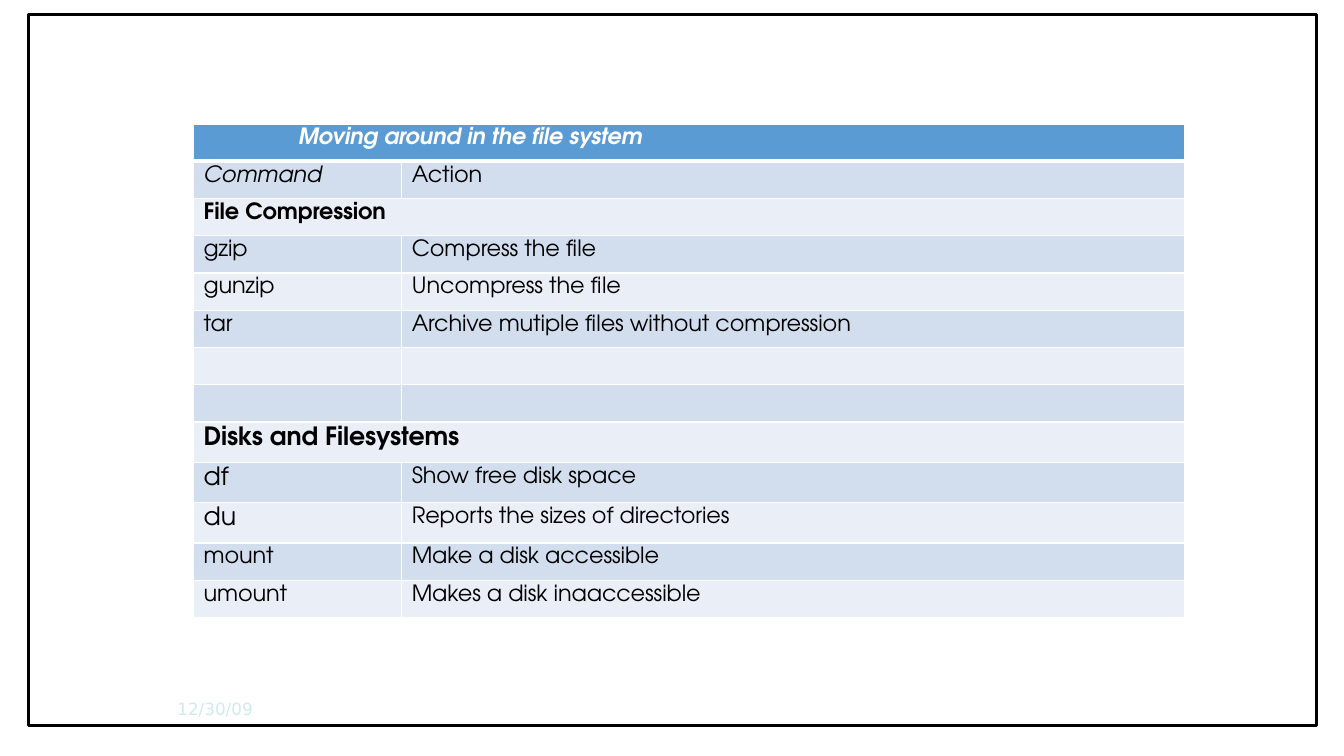
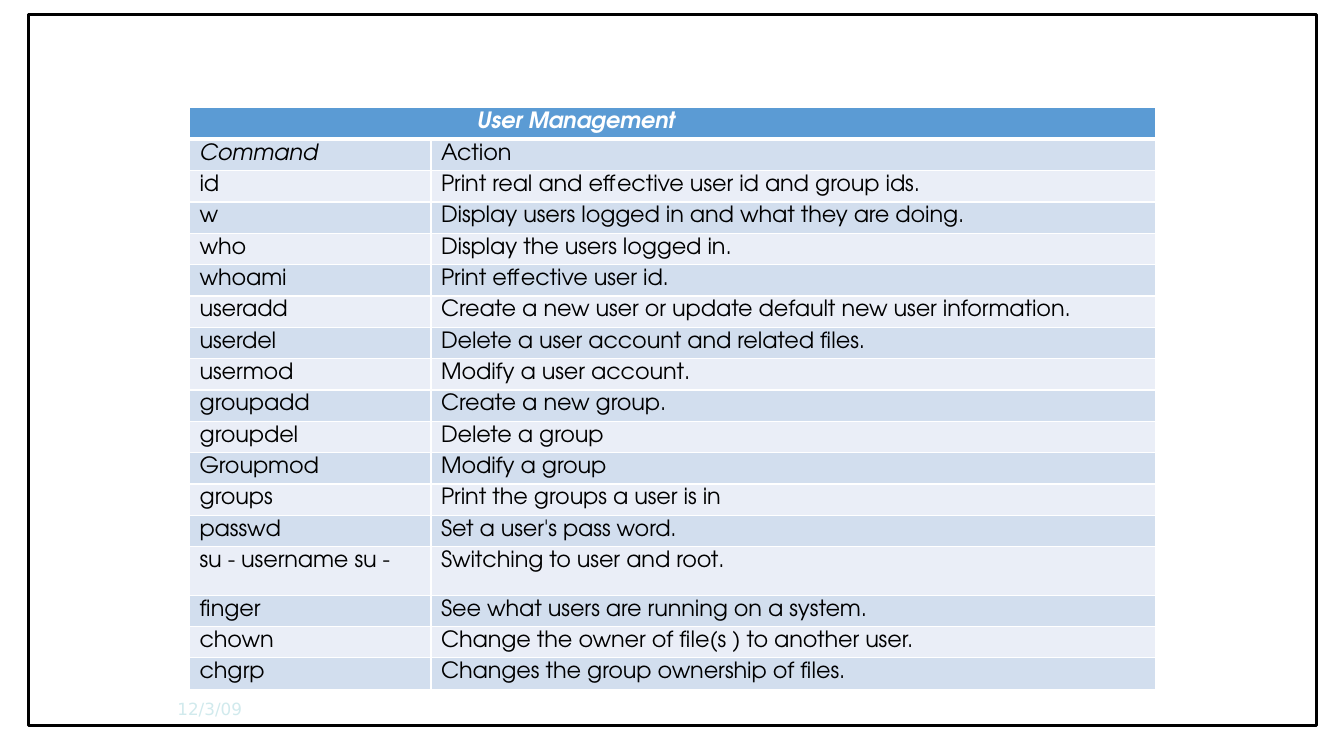
from dataclasses import dataclass

from lxml import etree
from pptx import Presentation
from pptx.dml.color import RGBColor
from pptx.enum.shapes import MSO_SHAPE
from pptx.oxml.ns import qn
from pptx.util import Inches, Pt

RECTANGLE = MSO_SHAPE.RECTANGLE
SLIDE_WIDTH, SLIDE_HEIGHT = 13.33, 7.5


@dataclass(frozen=True)
class Theme:
    header: str = "5B9BD4"
    bands: tuple = ("D2DEEE", "EAEEF7")
    border: str = "FFFFFF"
    header_text: str = "FFFFFF"
    text: str = "000000"
    date: str = "D1EAED"
    frame: str = "000000"
    table_font: str = "TeX Gyre Adventor"
    date_font: str = "DejaVu Sans"
    body_size: float = 16
    large_size: float = 18
    date_size: float = 12
    tracking: float = -0.05
    thin: float = 1
    thick: float = 3
    frame_width: float = 2.25


THEME = Theme()


@dataclass(frozen=True)
class Row:
    command: str = ""
    action: str = ""
    height: float = 0
    size: float = THEME.body_size
    section: bool = False


@dataclass(frozen=True)
class CommandTable:
    title: str
    title_indent: float
    box: tuple
    command_share: float
    row_height: float
    rows: tuple
    date: str


FILES = CommandTable(
    title="Moving around in the file system",
    title_indent=1.04,
    box=(1.92, 1.23, 9.83, 4.88),
    command_share=0.21,
    row_height=0.37,
    rows=(
        Row("File Compression", section=True),
        Row("gzip", "Compress the file"),
        Row("gunzip", "Uncompress the file"),
        Row("tar", "Archive mutiple files without compression"),
        Row(),
        Row(),
        Row("Disks and Filesystems", height=0.4, size=THEME.large_size, section=True),
        Row("df", "Show free disk space", height=0.4, size=THEME.large_size),
        Row("du", "Reports the sizes of directories", height=0.4, size=THEME.large_size),
        Row("mount", "Make a disk accessible"),
        Row("umount", "Makes a disk inaaccessible"),
    ),
    date="12/30/09",
)

USERS = CommandTable(
    title="User Management",
    title_indent=2.85,
    box=(1.88, 1.07, 9.58, 5.78),
    command_share=0.25,
    row_height=0.28,
    rows=(
        Row("id", "Print real and effective user id and group ids."),
        Row("w", "Display users logged in and what they are doing."),
        Row("who", "Display the users logged in."),
        Row("whoami", "Print effective user id."),
        Row("useradd", "Create a new user or update default new user information."),
        Row("userdel", "Delete a user account and related files."),
        Row("usermod", "Modify a user account."),
        Row("groupadd", "Create a new group."),
        Row("groupdel", "Delete a group"),
        Row("Groupmod", "Modify a group"),
        Row("groups", "Print the groups a user is in"),
        Row("passwd", "Set a user's pass word."),
        Row("su - username su -", "Switching to user and root.", height=0.48),
        Row("finger", "See what users are running on a system."),
        Row("chown", "Change the owner of file(s ) to another user."),
        Row("chgrp", "Changes the group ownership of files."),
    ),
    date="12/3/09",
)


def add_run(paragraph, text, font_name, size, color, bold=False, italic=False, tracking=0):
    run = paragraph.add_run()
    run.text = text
    font = run.font
    font.name, font.size = font_name, Pt(size)
    font.bold, font.italic = bold, italic
    font.color.rgb = RGBColor.from_string(color)
    if tracking:
        run._r.get_or_add_rPr().set("spc", str(round(tracking * 100)))


def set_borders(cell, top, bottom):
    properties = cell._tc.get_or_add_tcPr()
    widths = {"a:lnL": THEME.thin, "a:lnR": THEME.thin, "a:lnT": top, "a:lnB": bottom}
    for position, (tag, width) in enumerate(widths.items()):
        line = etree.Element(qn(tag), w=str(Pt(width)))
        fill = etree.SubElement(line, qn("a:solidFill"))
        etree.SubElement(fill, qn("a:srgbClr"), val=THEME.border)
        properties.insert(position, line)


def fill_cell(cell, text, fill, indent=0.1, size=THEME.body_size, color=THEME.text,
              bold=False, italic=False, top=THEME.thin, bottom=THEME.thin):
    cell.fill.solid()
    cell.fill.fore_color.rgb = RGBColor.from_string(fill)
    cell.margin_left, cell.margin_top = Inches(indent), Pt(3.2)
    cell.margin_right = cell.margin_bottom = 0
    set_borders(cell, top, bottom)
    paragraph = cell.text_frame.paragraphs[0]
    if text:
        add_run(paragraph, text, THEME.table_font, size, color, bold, italic, THEME.tracking)
    else:
        paragraph.font.size = Pt(size)


def add_command_table(slide, content):
    left, top, width, height = map(Inches, content.box)
    table = slide.shapes.add_table(len(content.rows) + 2, 2, left, top, width, height).table
    table.first_row = table.horz_banding = False
    table.columns[0].width = int(width * content.command_share)
    table.columns[1].width = width - table.columns[0].width
    for row in table.rows:
        row.height = Inches(content.row_height)

    table.cell(0, 0).merge(table.cell(0, 1))
    for column, title in enumerate((content.title, "")):
        fill_cell(table.cell(0, column), title, THEME.header, content.title_indent,
                  color=THEME.header_text, bold=True, italic=True, bottom=THEME.thick)
    for column, heading in enumerate(("Command", "Action")):
        fill_cell(table.cell(1, column), heading, THEME.bands[0],
                  italic=column == 0, top=THEME.thick)

    for index, row in enumerate(content.rows, start=2):
        table.rows[index].height = Inches(row.height or content.row_height)
        if row.section:
            table.cell(index, 0).merge(table.cell(index, 1))
        band = THEME.bands[(index - 1) % 2]
        fill_cell(table.cell(index, 0), row.command, band, size=row.size, bold=row.section)
        fill_cell(table.cell(index, 1), row.action, band)


def add_date(slide, text, box):
    text_box = slide.shapes.add_textbox(*map(Inches, box))
    frame = text_box.text_frame
    frame.word_wrap = True
    frame.margin_left = frame.margin_top = Inches(0.01)
    frame.margin_right = frame.margin_bottom = 0
    add_run(frame.paragraphs[0], text, THEME.date_font, THEME.date_size, THEME.date)


def add_frame(slide, box):
    frame = slide.shapes.add_shape(RECTANGLE, *map(Inches, box))
    frame.shadow.inherit = False
    frame.fill.background()
    frame.line.color.rgb = RGBColor.from_string(THEME.frame)
    frame.line.width = Pt(THEME.frame_width)


def add_command_slide(presentation, content):
    slide = presentation.slides.add_slide(presentation.slide_layouts[6])
    add_command_table(slide, content)
    add_date(slide, content.date, (1.75, 6.92, 0.9, 0.23))
    add_frame(slide, (0.28, 0.14, 12.78, 7.06))


def main():
    presentation = Presentation()
    presentation.slide_width = Inches(SLIDE_WIDTH)
    presentation.slide_height = Inches(SLIDE_HEIGHT)
    for content in (FILES, USERS):
        add_command_slide(presentation, content)
    presentation.save("out.pptx")


if __name__ == "__main__":
    main()
